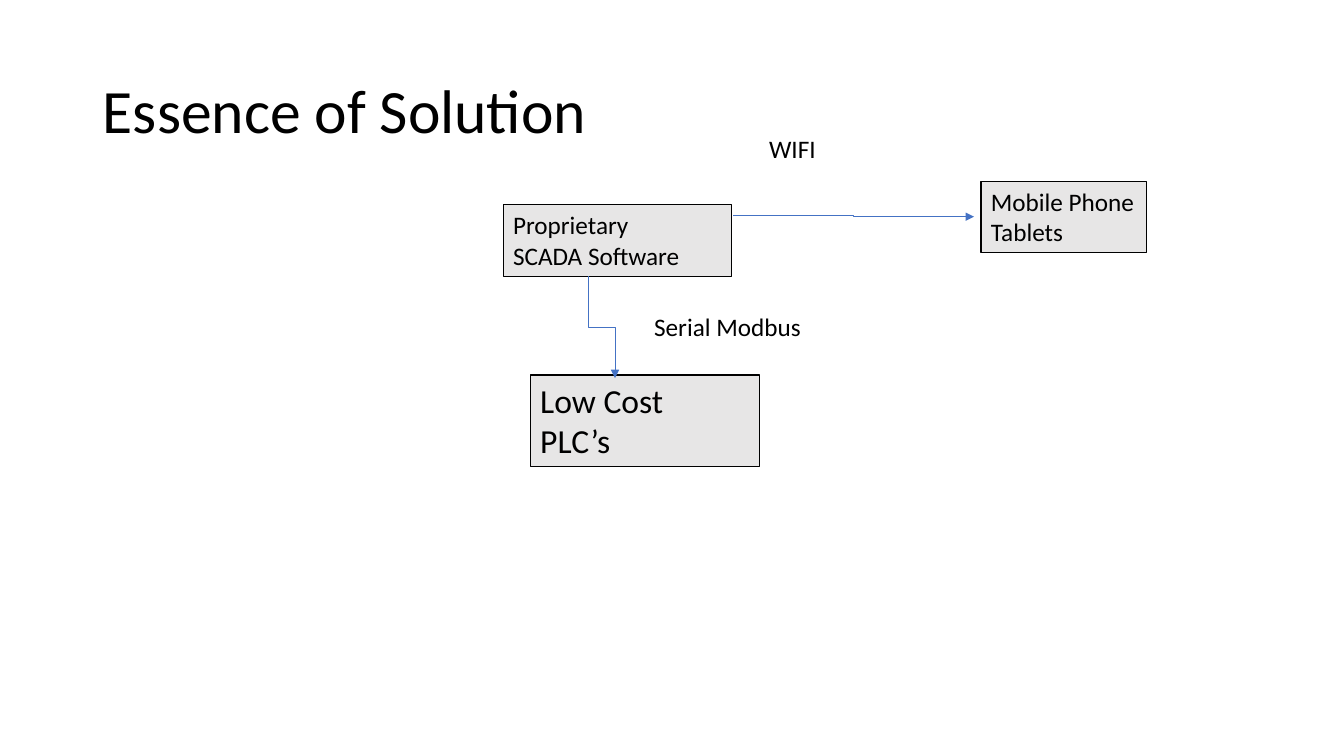
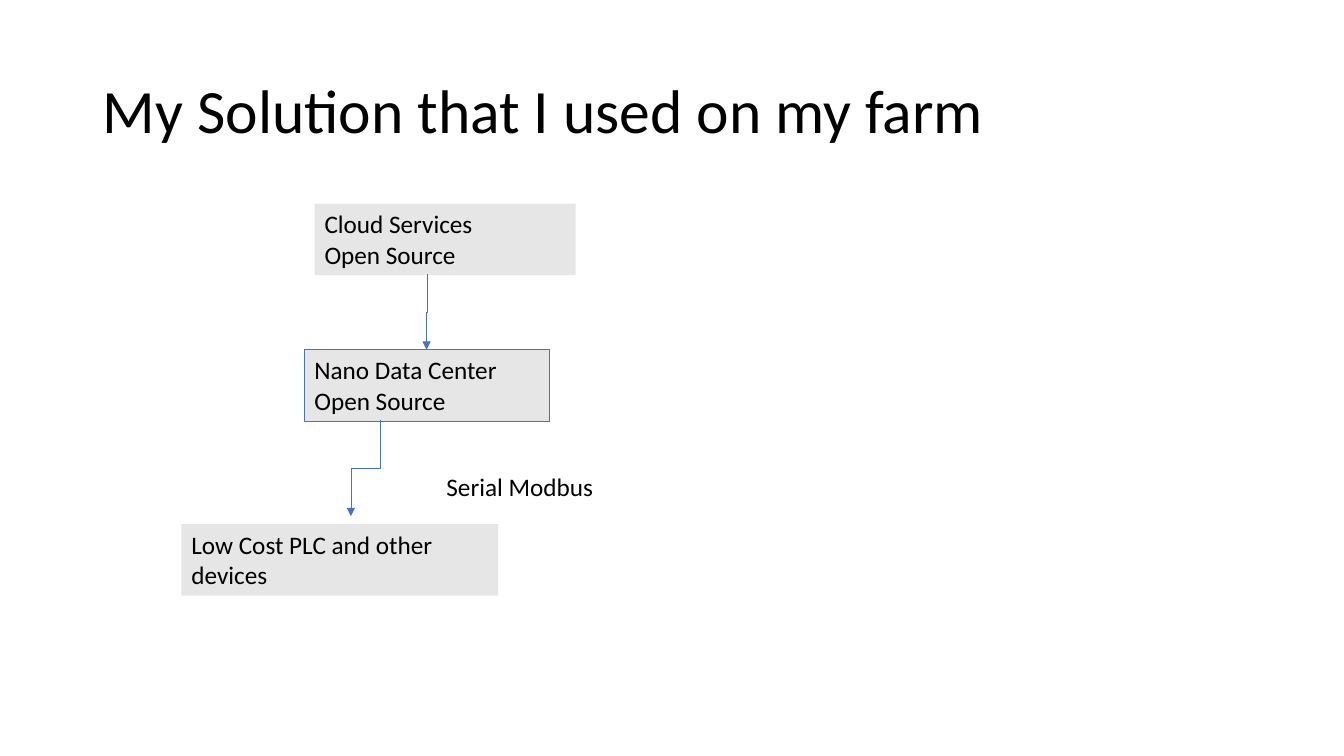
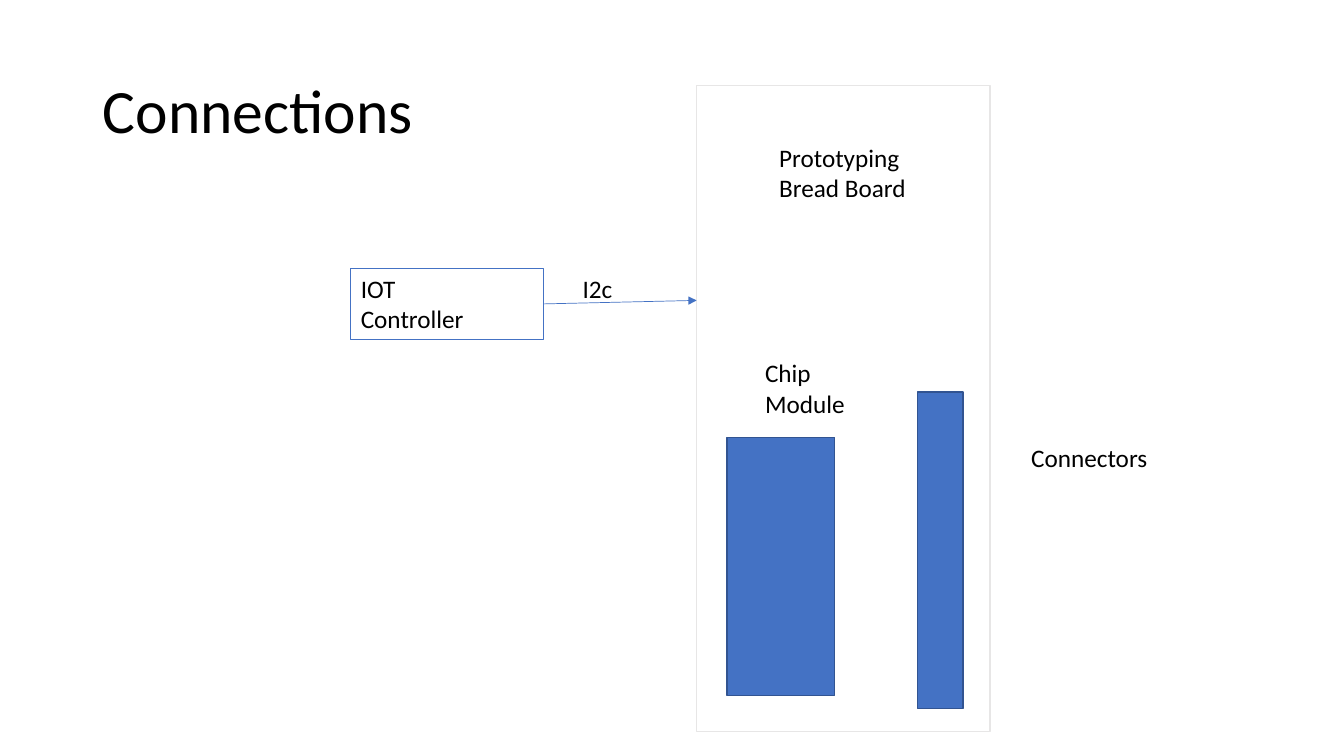
from lxml import etree
from pptx import Presentation
from pptx.dml.color import RGBColor
from pptx.enum.shapes import MSO_CONNECTOR, MSO_SHAPE
from pptx.enum.text import MSO_ANCHOR, MSO_AUTO_SIZE, PP_ALIGN
from pptx.oxml.ns import qn
from pptx.util import Emu, Pt

COLORS = {
    "text": "000000",
    "paper": "FFFFFF",
    "grey": "E7E6E6",
    "blue": "4472C4",
    "navy": "325491",
}
TITLE_FONT = {"name": "Calibri", "size": Pt(44)}
BODY_FONT = {"name": "Calibri", "size": Pt(18)}
LARGE_FONT = {**BODY_FONT, "size": Pt(24)}
TITLE_FRAME = {"vertical_anchor": MSO_ANCHOR.MIDDLE, "word_wrap": True}
BODY_FRAME = {"vertical_anchor": MSO_ANCHOR.TOP, "word_wrap": True,
              "auto_size": MSO_AUTO_SIZE.SHAPE_TO_FIT_TEXT}
LABEL_FRAME = {**BODY_FRAME, "word_wrap": False}
TITLE_PARAGRAPH = {"alignment": PP_ALIGN.LEFT, "line_spacing": 0.9}
BODY_PARAGRAPH = {"alignment": PP_ALIGN.LEFT}
TITLE_PLACE = {"left": 92, "top": 40, "width": 1150, "height": 145}
TITLE_ONLY = 5


def px(length):
    """Turn px, at 100 to the inch, into EMU."""
    return Emu(round(length * 9144))


def rgb(color):
    return RGBColor.from_string(COLORS[color])


def apply(target, values):
    for attribute, value in values.items():
        setattr(target, attribute, value)


def write(shape, text, font=BODY_FONT, frame=BODY_FRAME, paragraph=BODY_PARAGRAPH):
    """Fill a shape with text, one paragraph for each line."""
    apply(shape.text_frame, frame)
    shape.text_frame.text = text
    for line in shape.text_frame.paragraphs:
        apply(line, paragraph)
        for run in line.runs:
            apply(run.font, font)
            run.font.color.rgb = rgb("text")


def add_titled_slide(deck, title):
    slide = deck.slides.add_slide(deck.slide_layouts[TITLE_ONLY])
    heading = slide.shapes.title
    apply(heading, {side: px(length) for side, length in TITLE_PLACE.items()})
    write(heading, title, TITLE_FONT, TITLE_FRAME, TITLE_PARAGRAPH)
    return slide


def add_block(slide, place, fill="grey", outline=None, weight=0.75):
    block = slide.shapes.add_shape(MSO_SHAPE.RECTANGLE, *map(px, place))
    block.shadow.inherit = False
    if fill:
        block.fill.solid()
        block.fill.fore_color.rgb = rgb(fill)
    else:
        block.fill.background()
    if outline:
        block.line.color.rgb = rgb(outline)
        block.line.width = Pt(weight)
    else:
        block.line.fill.background()
    return block


def add_node(slide, place, text, fill="grey", outline=None, **text_format):
    node = add_block(slide, place, fill, outline)
    write(node, text, **text_format)
    return node


def add_label(slide, place, text, frame=LABEL_FRAME):
    write(slide.shapes.add_textbox(*map(px, place)), text, frame=frame)


def add_arrow(slide, start, end, kind=MSO_CONNECTOR.ELBOW):
    arrow = slide.shapes.add_connector(kind, *map(px, start + end))
    arrow.line.color.rgb = rgb("blue")
    arrow.line.width = Pt(0.5)
    etree.SubElement(arrow.line._get_or_add_ln(), qn("a:tailEnd"), type="triangle")
    etree.SubElement(arrow._element.spPr, qn("a:effectLst"))
    return arrow


def add_down_arrow(slide, start, end):
    """Add an elbow that leaves downwards: a level one turned by 90 degrees."""
    (x1, y1), (x2, y2) = start, end
    middle_x, middle_y = (x1 + x2) / 2, (y1 + y2) / 2
    half_run, half_drop = (x2 - x1) / 2, (y2 - y1) / 2
    arrow = add_arrow(slide, (middle_x - half_drop, middle_y + half_run),
                      (middle_x + half_drop, middle_y - half_run))
    arrow._element.spPr.find(qn("a:xfrm")).set("rot", str(90 * 60000))


def build_essence(deck):
    slide = add_titled_slide(deck, "Essence of Solution")
    add_node(slide, (526, 372, 227, 91), "Low Cost\nPLC’s",
             outline="text", font=LARGE_FONT)
    add_node(slide, (499, 203, 227, 71), "Proprietary\nSCADA Software", outline="text")
    add_down_arrow(slide, (584, 274), (610, 375))
    add_label(slide, (639, 304, 167, 40), "Serial Modbus")
    add_arrow(slide, (727, 214), (966, 215))
    add_node(slide, (973, 180, 164, 71), "Mobile Phone\nTablets",
             outline="text", frame=LABEL_FRAME)
    add_label(slide, (753, 127, 67, 40), "WIFI")


def build_farm_solution(deck):
    slide = add_titled_slide(deck, "My Solution that I used on my farm")
    add_node(slide, (312, 202, 259, 71), "Cloud Services\nOpen Source")
    add_node(slide, (302, 347, 243, 71), "Nano Data Center\nOpen Source", outline="blue")
    add_node(slide, (180, 520, 314, 71), "Low Cost PLC and other devices")
    add_down_arrow(slide, (377, 417), (348, 512))
    add_down_arrow(slide, (424, 272), (423, 347))
    add_label(slide, (433, 463, 167, 40), "Serial Modbus")


def build_connections(deck):
    slide = add_titled_slide(deck, "Connections")
    add_block(slide, (691, 85, 291, 641), "paper", "grey", 1)
    add_label(slide, (763, 136, 147, 71), "Prototyping\nBread Board")
    add_label(slide, (749, 350, 176, 71), "Chip\nModule", BODY_FRAME)
    controller = add_node(slide, (348, 266, 191, 71), "IOT\nController",
                          fill=None, outline="blue")
    bus = add_arrow(slide, (539, 302), (691, 298), MSO_CONNECTOR.STRAIGHT)
    bus.begin_connect(controller, 3)
    add_label(slide, (568, 266, 50, 40), "I2c")
    for place in ((910, 389, 45, 314), (721, 434, 107, 256)):
        add_block(slide, place, "blue", "navy", 1)
    add_label(slide, (1013, 434, 137, 40), "Connectors")


def main():
    deck = Presentation()
    apply(deck, {"slide_width": px(1333), "slide_height": px(750)})
    for build in (build_essence, build_farm_solution, build_connections):
        build(deck)
    deck.save("out.pptx")


if __name__ == "__main__":
    main()
